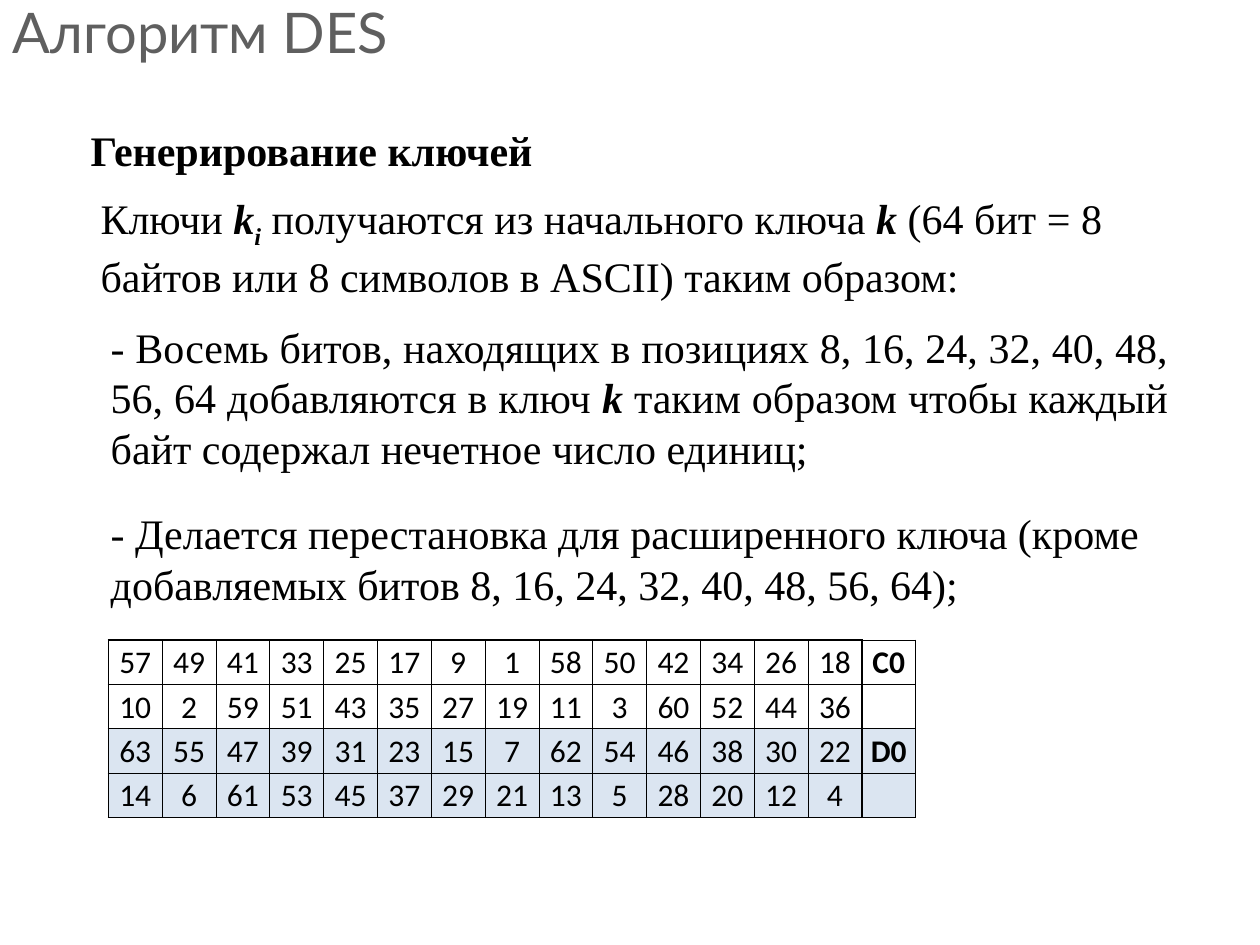
from dataclasses import dataclass

import pptx
import pptx.dml.color
import pptx.enum.text
import pptx.oxml
import pptx.oxml.ns
import pptx.util
from pptx.util import Inches

ALIGN = pptx.enum.text.PP_ALIGN
ANCHOR = pptx.enum.text.MSO_ANCHOR
COLORS = {"title": "5F5F5F", "text": "000000", "border": "000000",
          "plain": "FFFFFF", "shaded": "DBE5F1"}
PLAIN = {"bold": False, "italic": False}
BOLD = {"bold": True, "italic": False}
KEY = {"bold": True, "italic": True}


@dataclass
class Run:
    text: str
    style: dict
    baseline: int = 0


@dataclass
class TextBlock:
    box: tuple[float, float, float, float]
    runs: list[Run]
    font: str = "Times New Roman"
    size: int = 24
    color: str = "text"
    align: ALIGN = ALIGN.LEFT
    anchor: ANCHOR = ANCHOR.TOP
    wrap: bool = True


BLOCKS = [
    TextBlock((0, 0, 10, 0.5), [Run("Алгоритм DES", PLAIN)],
              font="Lato", size=32, color="title", anchor=ANCHOR.MIDDLE),
    TextBlock((0.7, 1.48, 8.67, 0.91), [
        Run("Ключи ", PLAIN), Run("k", KEY), Run("i", KEY, -25),
        Run(" получаются из начального ключа ", PLAIN), Run("k", KEY),
        Run(" (64 бит = 8 байтов или 8 символов в ASCII) таким образом:", PLAIN)]),
    TextBlock((0.62, 0.94, 3.75, 0.5), [Run("Генерирование ключей", BOLD)], wrap=False),
    TextBlock((0.78, 2.5, 8.59, 1.31), [
        Run("- Восемь битов, находящих в позициях 8, 16, 24, 32, 40, 48, 56, 64 "
            "добавляются в ключ ", PLAIN),
        Run("k", KEY),
        Run(" таким образом чтобы каждый байт содержал нечетное число единиц;", PLAIN)],
        align=ALIGN.JUSTIFY),
    TextBlock((0.78, 3.98, 8.59, 0.91), [
        Run("- Делается перестановка для расширенного ключа (кроме добавляемых битов "
            "8, 16, 24, 32, 40, 48, 56, 64);", PLAIN)]),
]

PERMUTATION = [
    [57, 49, 41, 33, 25, 17, 9, 1, 58, 50, 42, 34, 26, 18, "C0"],
    [10, 2, 59, 51, 43, 35, 27, 19, 11, 3, 60, 52, 44, 36, ""],
    [63, 55, 47, 39, 31, 23, 15, 7, 62, 54, 46, 38, 30, 22, "D0"],
    [14, 6, 61, 53, 45, 37, 29, 21, 13, 5, 28, 20, 12, 4, ""],
]
CELL_FORMAT = {"margin_left": Inches(0.01), "margin_right": Inches(0.01),
               "margin_top": Inches(0.01), "margin_bottom": 0,
               "vertical_anchor": ANCHOR.MIDDLE}


def set_font(font, name: str, size: int, color: str, style: dict) -> None:
    values = {"name": name, "size": pptx.util.Pt(size), **style}
    for attr, value in values.items():
        setattr(font, attr, value)
    font.color.rgb = pptx.dml.color.RGBColor.from_string(COLORS[color])


def add_text(slide, block: TextBlock) -> None:
    tf = slide.shapes.add_textbox(*map(Inches, block.box)).text_frame
    tf.word_wrap = block.wrap
    tf.vertical_anchor = block.anchor
    p = tf.paragraphs[0]
    p.alignment = block.align
    for run in block.runs:
        r = p.add_run()
        r.text = run.text
        set_font(r.font, block.font, block.size, block.color, run.style)
        if run.baseline:
            r.font._element.set("baseline", str(run.baseline * 1000))


def set_borders(cell, widths: dict[str, float]) -> None:
    """Draw the cell sides L, R, T, B with the given widths in points."""
    tc_pr = cell._tc.get_or_add_tcPr()
    for i, (side, width) in enumerate(widths.items()):
        tc_pr.insert(i, pptx.oxml.parse_xml(
            f'<a:ln{side} {pptx.oxml.ns.nsdecls("a")} w="{pptx.util.Pt(width)}">'
            f'<a:solidFill><a:srgbClr val="{COLORS["border"]}"/></a:solidFill>'
            f'</a:ln{side}>'))


def add_permutation(slide) -> None:
    """Add the key table; a thicker frame surrounds all but the label column."""
    n_rows, n_cols = len(PERMUTATION), len(PERMUTATION[0])
    label = n_cols - 1
    width, height = Inches(6.41), Inches(1.41)
    table = slide.shapes.add_table(n_rows, n_cols, Inches(0.86), Inches(5.08),
                                   width, height).table
    table.first_row = table.horz_banding = False
    for column in table.columns:
        column.width = width // n_cols
    for row in table.rows:
        row.height = height // n_rows
    for i, values in enumerate(PERMUTATION):
        for j, value in enumerate(values):
            cell = table.cell(i, j)
            for attr, setting in CELL_FORMAT.items():
                setattr(cell, attr, setting)
            framed = {"L": j in (0, label), "R": j == label - 1,
                      "T": i == 0 and j < label, "B": i == n_rows - 1 and j < label}
            set_borders(cell, {side: 1 if thick else 0.5 for side, thick in framed.items()})
            cell.fill.solid()
            fill = COLORS["plain" if i < n_rows // 2 else "shaded"]
            cell.fill.fore_color.rgb = pptx.dml.color.RGBColor.from_string(fill)
            p = cell.text_frame.paragraphs[0]
            p.alignment = ALIGN.CENTER
            if value:
                r = p.add_run()
                r.text = str(value)
                set_font(r.font, "Calibri", 18, "text", BOLD if j == label else PLAIN)


def main() -> None:
    prs = pptx.Presentation()
    prs.slide_width, prs.slide_height = Inches(10), Inches(7.5)
    slide = prs.slides.add_slide(prs.slide_layouts[6])
    for block in BLOCKS:
        add_text(slide, block)
    add_permutation(slide)
    prs.save("out.pptx")


if __name__ == "__main__":
    main()
